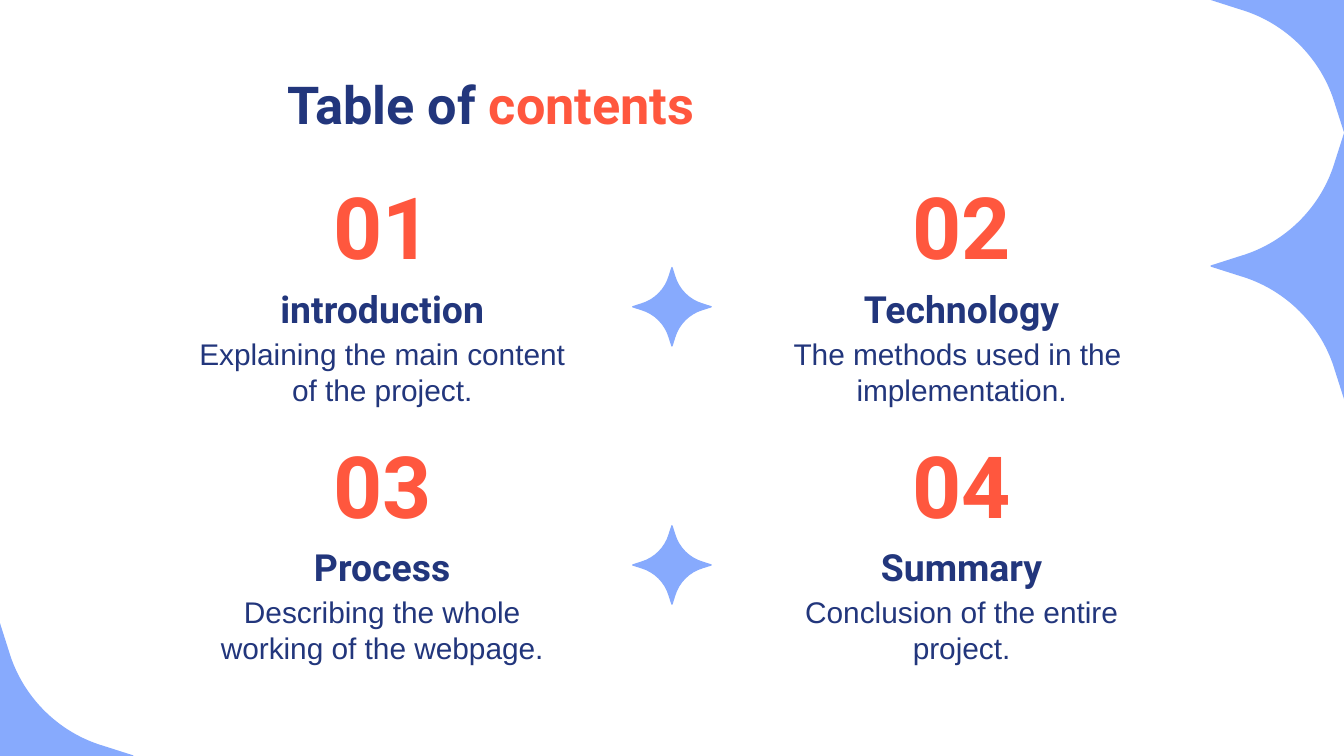
from dataclasses import dataclass

from lxml import etree
from pptx import Presentation, util as u
from pptx.dml import color
from pptx.enum import text
from pptx.oxml import ns


@dataclass(frozen=True)
class Theme:
    navy: str = "22367C"
    coral: str = "FF573E"
    sky: str = "87AAFD"
    heading_font: str = "Roboto"
    body_font: str = "Arial"
    title_size: int = 28
    number_size: int = 46
    heading_size: int = 20
    body_size: int = 16


THEME = Theme()
SECTIONS = [
    ("01", "introduction", "Explaining the main content of the project."),
    ("02", "Technology", "The methods used in the  implementation."),
    ("03", "Process", "Describing the whole working of the webpage."),
    ("04", "Summary", "Conclusion of the entire project."),
]
LEFT, TOP = 3.34, 3.35
COLUMN_STEP, ROW_STEP = 10.95, 4.88
CORNER_RADIUS, DIVIDER_RADIUS = 2.53, 0.74
CORNER_STARS = [(-0.02, 14.29), (25.42, -0.01), (25.42, 5.03)]
STAR_QUARTER = [(0, -1), (-0.07, -0.78), (-0.17, -0.44), (-0.44, -0.17), (-0.78, -0.07)]


def apply_format(target, values):
    for name, value in values.items():
        setattr(target, name, value)


def star_outline():
    quarter, outline = STAR_QUARTER, []
    for _ in range(4):
        outline += quarter
        quarter = [(y, -x) for x, y in quarter]
    return outline + [outline[0]]


def curve_sides(shape):
    lines = list(shape._element.iter(ns.qn("a:lnTo")))
    for first in range(1, len(lines), len(STAR_QUARTER)):
        curve = etree.Element(ns.qn("a:cubicBezTo"))
        lines[first].addprevious(curve)
        for line in lines[first:first + 3]:
            curve.append(line[0])
            line.getparent().remove(line)


def add_star(slide, center_x, center_y, radius):
    points = [
        (u.Cm(center_x + radius * x), u.Cm(center_y + radius * y))
        for x, y in star_outline()
    ]
    builder = slide.shapes.build_freeform(*points[0], scale=1.0)
    builder.add_line_segments(points[1:], close=True)
    shape = builder.convert_to_shape()
    curve_sides(shape)
    shape.shadow.inherit = False
    for fill in (shape.fill, shape.line.fill):
        fill.solid()
        fill.fore_color.rgb = color.RGBColor.from_string(THEME.sky)
    shape.line.width = u.Pt(0.75)


def add_text(slide, box, runs, size, font, bold=True, centered=True, space_after=0):
    shape = slide.shapes.add_textbox(*(u.Cm(length) for length in box))
    frame = shape.text_frame
    anchor = text.MSO_ANCHOR.BOTTOM if centered else text.MSO_ANCHOR.TOP
    apply_format(frame, {
        "word_wrap": True,
        "vertical_anchor": anchor,
        "margin_top": 0,
        "margin_bottom": 0,
    })
    paragraph = frame.paragraphs[0]
    alignment = text.PP_ALIGN.CENTER if centered else text.PP_ALIGN.LEFT
    apply_format(paragraph, {"alignment": alignment, "space_after": u.Pt(space_after)})
    for words, shade in runs:
        run = paragraph.add_run()
        run.text = words
        apply_format(run.font, {"name": font, "size": u.Pt(size), "bold": bold})
        run.font.color.rgb = color.RGBColor.from_string(shade)


def add_section(slide, left, top, number, heading, description):
    add_text(slide, (left + 1.55, top - 0.02, 4.67, 1.91), [(number, THEME.coral)],
             THEME.number_size, THEME.heading_font)
    add_text(slide, (left, top + 2.01, 7.77, 0.89), [(heading, THEME.navy)],
             THEME.heading_size, THEME.heading_font, space_after=12)
    add_text(slide, (left, top + 3.03, 7.77, 1.32), [(description, THEME.navy)],
             THEME.body_size, THEME.body_font, bold=False, space_after=12)


def main():
    presentation = Presentation()
    apply_format(presentation, {"slide_width": u.Cm(25.4), "slide_height": u.Cm(14.29)})
    slide = presentation.slides.add_slide(presentation.slide_layouts[6])

    for center_x, center_y in CORNER_STARS:
        add_star(slide, center_x, center_y, CORNER_RADIUS)
    add_text(slide, (5.18, 1.37, 15.04, 1.32),
             [("Table of ", THEME.navy), ("contents", THEME.coral)],
             THEME.title_size, THEME.heading_font, centered=False)
    for index, section in enumerate(SECTIONS):
        row, column = divmod(index, 2)
        add_section(slide, LEFT + column * COLUMN_STEP, TOP + row * ROW_STEP, *section)
    for row in range(2):
        add_star(slide, 12.7, 5.8 + row * ROW_STEP, DIVIDER_RADIUS)

    presentation.save("out.pptx")


if __name__ == "__main__":
    main()
